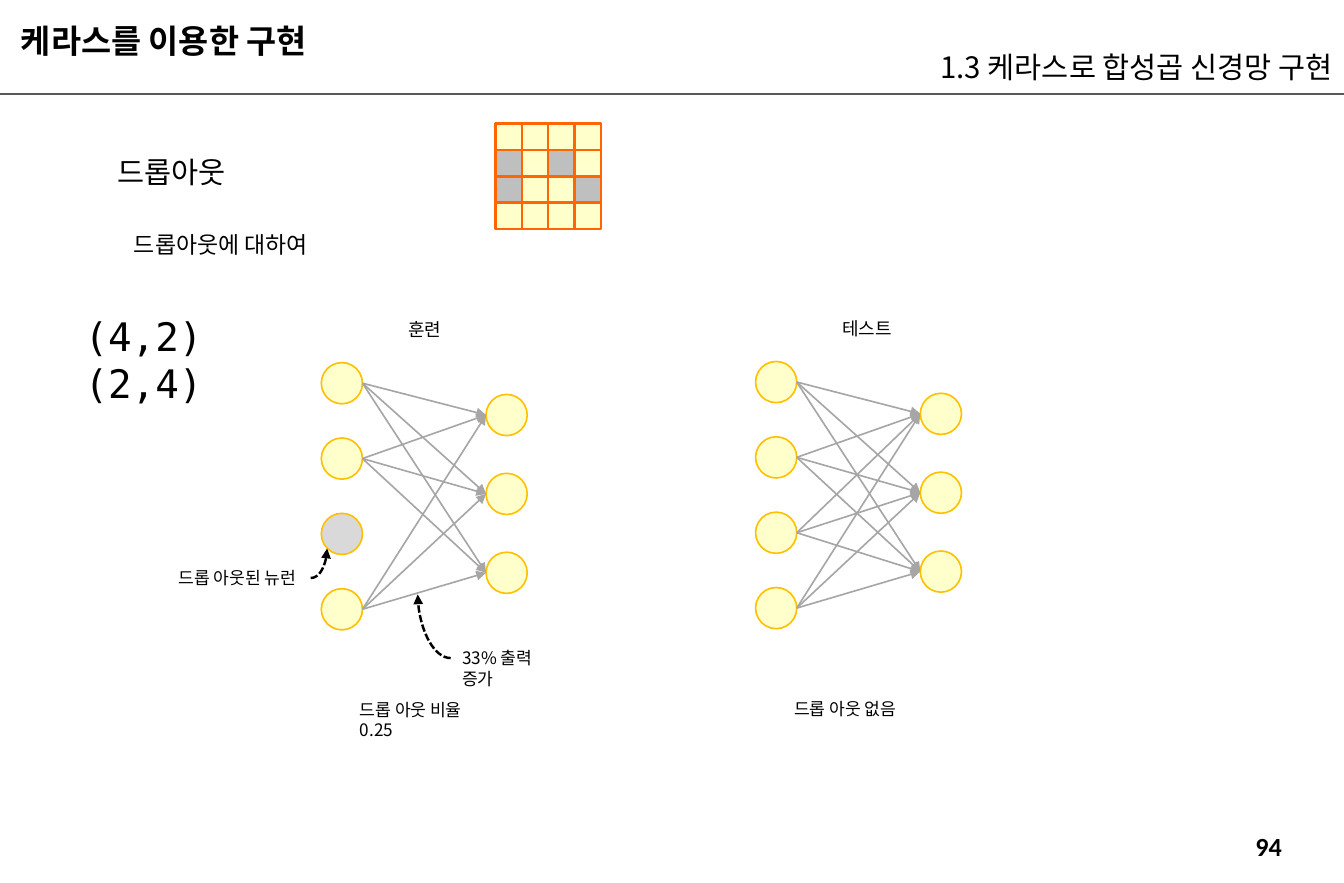
from dataclasses import dataclass
from itertools import product

from lxml.etree import SubElement
from pptx import Presentation
from pptx.dml.color import RGBColor as RGB
from pptx.enum.dml import MSO_LINE as Dash
from pptx.enum.shapes import MSO_CONNECTOR as Link, MSO_SHAPE as Kind
from pptx.enum.text import MSO_ANCHOR as Anchor, PP_ALIGN as Align
from pptx.oxml.ns import qn
from pptx.util import Inches, Pt


@dataclass(frozen=True)
class Theme:
    ink: str = "000000"
    rule: str = "595959"
    arrow: str = "A6A6A6"
    cream: str = "FFFFCC"
    gold: str = "FFC000"
    orange: str = "FF6600"
    off: str = "D9D9D9"
    gray: str = "BFBFBF"
    sans: str = "Noto Sans CJK KR"
    head: str = "Calibri"
    mono: str = "DejaVu Sans Mono"
    title: float = 20
    large: float = 18
    page: float = 16
    sub: float = 14
    label: float = 11
    note: float = 10.5
    code: float = 24


T = Theme()
WIDE, HIGH = 11.42, 7.5
NODE, CELL = 0.35, 0.224


def color(code):
    return RGB.from_string(code)


def text(slide, box, words, size, face=T.sans, bold=False,
         align=Align.LEFT, anchor=Anchor.TOP, pad=0.05):
    frame = slide.shapes.add_textbox(*map(Inches, box)).text_frame
    frame.word_wrap = True
    frame.vertical_anchor = anchor
    frame.margin_top = frame.margin_bottom = Inches(pad)
    para = frame.paragraphs[0]
    para.alignment = align
    run = para.add_run()
    run.text = words
    font = run.font
    font.size, font.bold, font.name = Pt(size), bold, face
    font.color.rgb = color(T.ink)
    east = T.sans if face == T.head else face
    SubElement(run._r.get_or_add_rPr(), qn("a:ea"), typeface=east)


def shape(slide, kind, x, y, side, fill, edge, width):
    item = slide.shapes.add_shape(kind, *map(Inches, (x, y, side, side)))
    item.shadow.inherit = False
    item.fill.solid()
    item.fill.fore_color.rgb = color(fill)
    item.line.color.rgb = color(edge)
    item.line.width = Pt(width)


def line(slide, start, end, ink, width, kind=Link.STRAIGHT, head=True):
    item = slide.shapes.add_connector(kind, *map(Inches, (*start, *end)))
    item.line.color.rgb = color(ink)
    item.line.width = Pt(width)
    if kind == Link.CURVE:
        item.line.dash_style = Dash.SQUARE_DOT
        item._element.spPr.find(qn("a:prstGeom")).set("prst", "curvedConnector2")
    if head:
        SubElement(item.line._get_or_add_ln(), qn("a:tailEnd"), type="triangle")
    SubElement(item._element.spPr, qn("a:effectLst"))


def header(slide, x, y, wide):
    line(slide, (x, y + 0.8), (x + wide, y + 0.8), T.rule, 1.5, head=False)
    text(slide, (x + 0.08, y + 0.09, 6.48, 0.44), "케라스를 이용한 구현",
         T.title, T.head, True, anchor=Anchor.BOTTOM, pad=0.02)
    text(slide, (x + wide - 5.31, y + 0.3, 5.31, 0.44),
         "1.3 케라스로 합성곱 신경망 구현", T.large,
         align=Align.RIGHT, anchor=Anchor.BOTTOM, pad=0.02)


def intro(slide, x, y):
    text(slide, (x, y, 1.3, 0.4), "드롭아웃", T.large)
    text(slide, (x + 0.14, y + 0.65, 1.8, 0.34), "드롭아웃에 대하여", T.sub)
    text(slide, (x - 0.28, y + 1.34, 2.06, 0.5), "(4,2)(2,4)", T.code, T.mono)


def mask(slide, x, y):
    """Grid of cells, the dropped ones in gray."""
    dropped = {(1, 0), (1, 2), (2, 0), (2, 3)}
    for row, col in product(range(4), repeat=2):
        fill = T.gray if (row, col) in dropped else T.cream
        shape(slide, Kind.RECTANGLE, x + col * CELL, y + row * CELL, CELL,
              fill, T.orange, 1.5)


def network(slide, x, y, name, caption, wide, dropped=None):
    """Four neurons fully linked to three, except a dropped one."""
    left = [y + 0.64 * i for i in range(4)]
    right = [y + 0.27 + 0.67 * i for i in range(3)]
    for i, top in enumerate(left):
        shape(slide, Kind.OVAL, x, top, NODE,
              T.off if i == dropped else T.cream, T.gold, 1)
    for top in right:
        shape(slide, Kind.OVAL, x + 1.4, top, NODE, T.cream, T.gold, 1)
    live = [top for i, top in enumerate(left) if i != dropped]
    for a, b in product(live, right):
        line(slide, (x + NODE, a + NODE / 2), (x + 1.4, b + NODE / 2),
             T.arrow, 1)
    text(slide, (x + 0.64, y - 0.42, 1.56, 0.29), name, T.label)
    text(slide, (x + 0.23, y + 2.81, wide, 0.28), caption, T.note)


def notes(slide, x, y):
    """Remarks on the training network, with curved pointers."""
    text(slide, (x - 1.31, y + 1.69, 1.3, 0.28), "드롭 아웃된 뉴런", T.note)
    text(slide, (x + 1.1, y + 2.37, 1, 0.28), "33% 출력 증가", T.note)
    for start, end in (((-0.09, 1.83), (0.05, 1.58)),
                       ((1.1, 2.51), (0.82, 1.97))):
        line(slide, (x + start[0], y + start[1]), (x + end[0], y + end[1]),
             T.ink, 1.5, Link.CURVE)


def main():
    deck = Presentation()
    deck.slide_width, deck.slide_height = Inches(WIDE), Inches(HIGH)
    slide = deck.slides.add_slide(deck.slide_layouts[6])
    header(slide, 0, 0, WIDE)
    intro(slide, 0.9, 1.26)
    mask(slide, 4.21, 1.05)
    network(slide, 2.73, 3.08, "훈련", "드롭 아웃 비율 0.25", 1.3, dropped=2)
    notes(slide, 2.73, 3.08)
    network(slide, 6.42, 3.07, "테스트", "드롭 아웃 없음", 1.2)
    text(slide, (8.81, 7, 3.94, 0.24), "94", T.page, T.head, True, Align.CENTER)
    deck.save("out.pptx")


if __name__ == "__main__":
    main()
